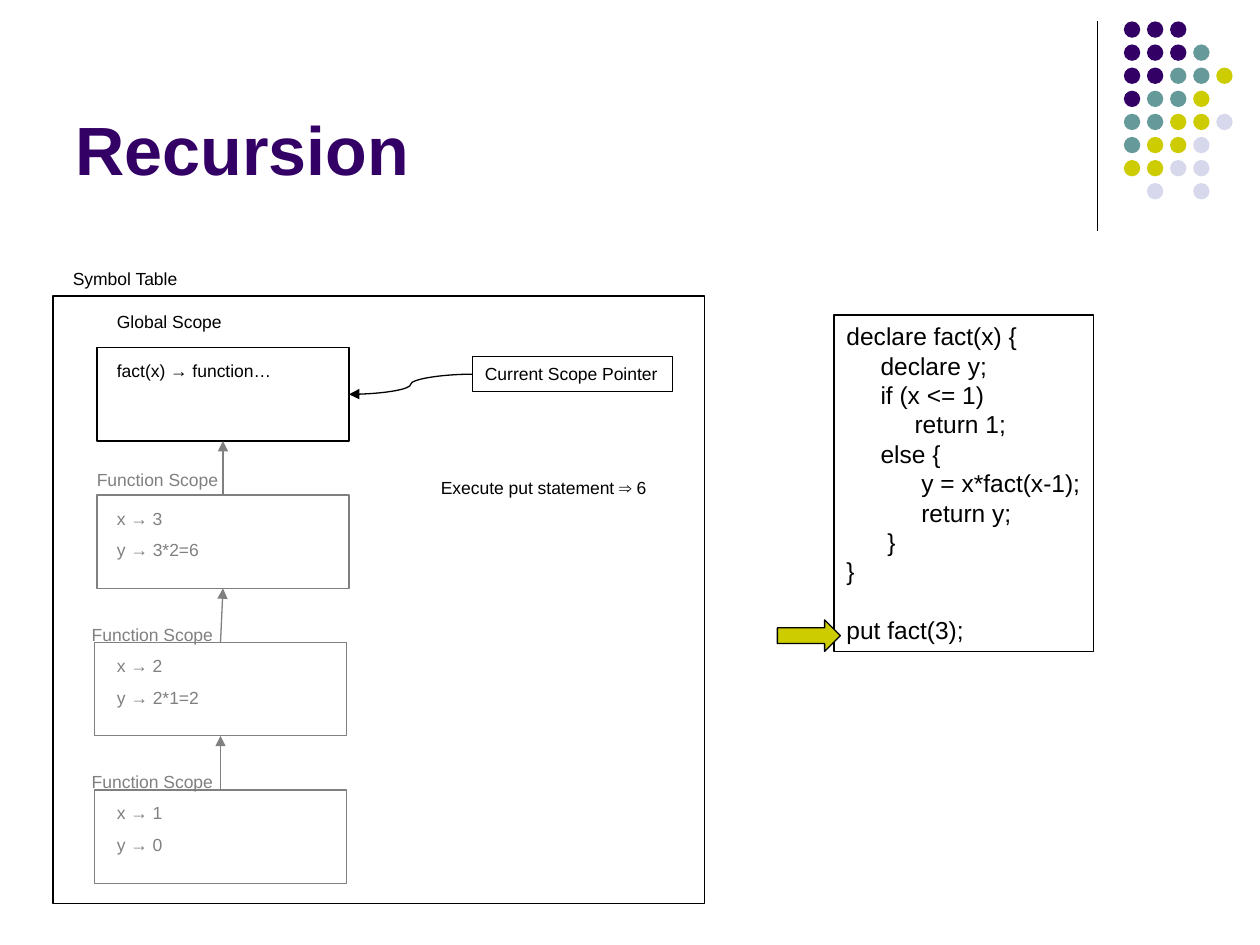
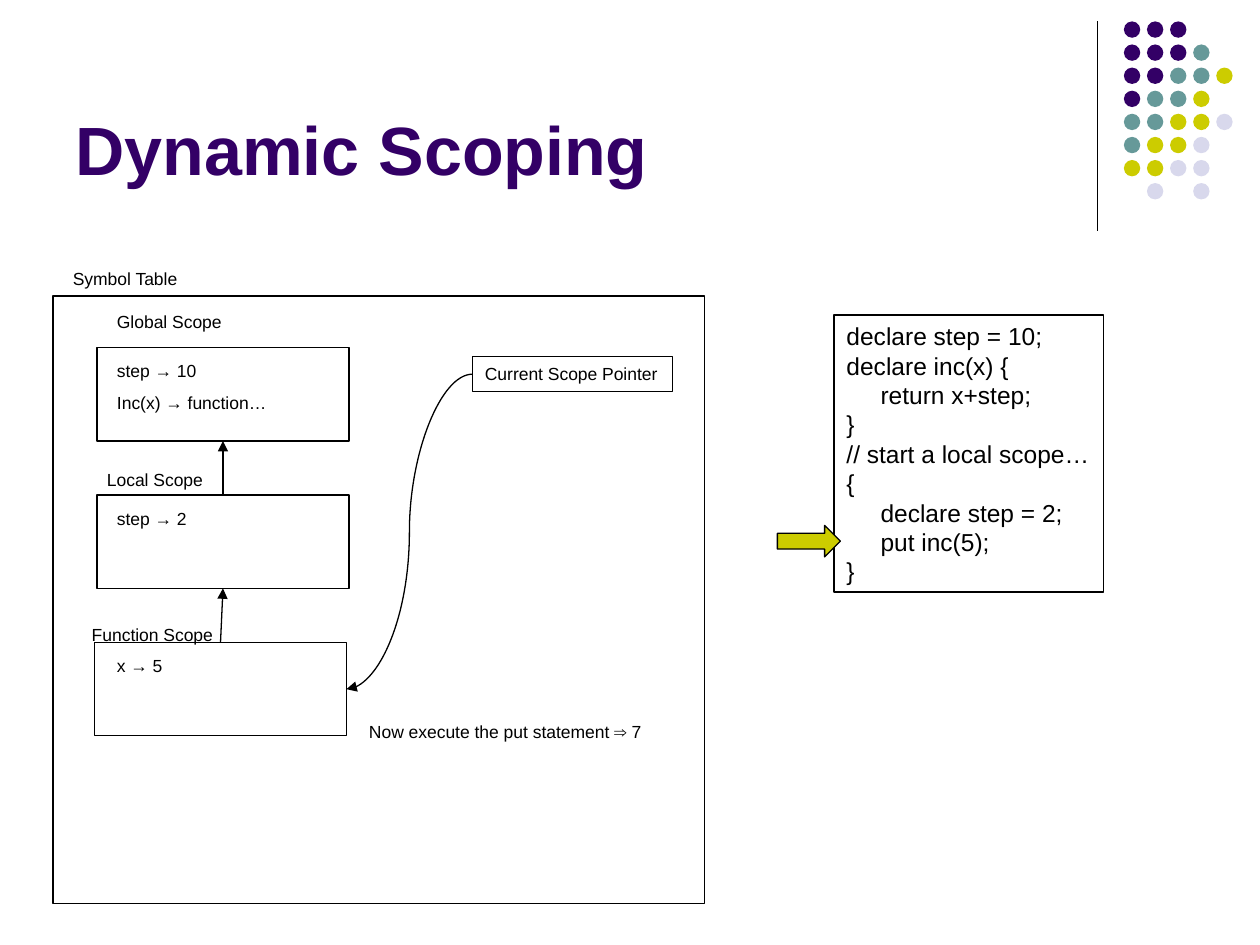
from dataclasses import dataclass

from lxml.etree import SubElement
from pptx import Presentation
from pptx.dml.color import RGBColor
from pptx.enum.shapes import MSO_CONNECTOR, MSO_SHAPE
from pptx.enum.text import MSO_ANCHOR
from pptx.oxml.ns import qn
from pptx.util import Inches, Pt

COLORS = {
    "ink": "000000",
    "faded": "808080",
    "purple": "330066",
    "teal": "669999",
    "lime": "CCCC00",
    "lilac": "D8D8EC",
}
FONT = "Arial"
DOT_COLORS = {"P": "purple", "T": "teal", "L": "lime", "V": "lilac"}
DOT_ROWS = ["PPP", "PPPT", "PPTTL", "PTTL", "TTLLV", "TLLV", "LLVV", " V V"]
DOT_PITCH = 0.55 / 3
SCOPE_TOP, SCOPE_PITCH = 2.76, 1.17
SCOPE_LEFTS = [0.77, 0.77, 0.75, 0.75]
TOP_SITE, BOTTOM_SITE, RIGHT_SITE = 0, 2, 3
CODE_LEADING = 16.8
SPACE_WIDTH = 0.054


@dataclass
class CodeLine:
    text: str
    spaces: int = 0
    gap: float = 0


@dataclass
class Scope:
    name: str
    name_at: tuple
    bindings: list
    color: str = "ink"


def rgb(color):
    return RGBColor.from_string(COLORS[color])


def write(shape, text, size=10, color="ink", bold=False, anchor=MSO_ANCHOR.TOP, leading=None):
    frame = shape.text_frame
    frame.word_wrap = True
    frame.vertical_anchor = anchor
    frame.margin_left, frame.margin_right = Inches(0.1), 0
    frame.margin_top = frame.margin_bottom = Inches(0.05)
    lines = [CodeLine(text)] if isinstance(text, str) else text
    for number, line in enumerate(lines):
        paragraph = frame.add_paragraph() if number else frame.paragraphs[0]
        properties = paragraph._p.get_or_add_pPr()
        properties.set("marL", str(Inches(line.spaces * SPACE_WIDTH)))
        properties.set("algn", "l")
        if leading:
            paragraph.line_spacing = Pt(leading)
        if line.gap:
            paragraph.space_before = Pt(line.gap)
        run = paragraph.add_run()
        run.text = line.text
        run.font.name = FONT
        run.font.size = Pt(size)
        run.font.bold = bold
        run.font.color.rgb = rgb(color)


class ScopeDeck:
    def __init__(self):
        self.deck = Presentation()
        self.deck.slide_width, self.deck.slide_height = Inches(10), Inches(7.5)
        self.slide = None

    def start_slide(self, title):
        self.slide = self.deck.slides.add_slide(self.deck.slide_layouts[6])
        self.line((8.71, 0.17), (8.71, 1.83))
        self.dots()
        self.label(title, 0.5, 0.13, 8.25, 1.42, size=39, color="purple",
                   bold=True, anchor=MSO_ANCHOR.BOTTOM)

    def shape(self, preset, left, top, width, height, fill=None, line="ink"):
        shape = self.slide.shapes.add_shape(
            preset, Inches(left), Inches(top), Inches(width), Inches(height))
        shape.shadow.inherit = False
        if fill:
            shape.fill.solid()
            shape.fill.fore_color.rgb = rgb(fill)
        else:
            shape.fill.background()
        if line:
            shape.line.color.rgb = rgb(line)
            shape.line.width = Pt(0.75)
        else:
            shape.line.fill.background()
        return shape

    def box(self, left, top, width, height, line="ink"):
        return self.shape(MSO_SHAPE.RECTANGLE, left, top, width, height, line=line)

    def label(self, text, left, top, width, height=0.27, **style):
        area = self.slide.shapes.add_textbox(
            Inches(left), Inches(top), Inches(width), Inches(height))
        write(area, text, **style)

    def line(self, start, end, color="ink", kind=MSO_CONNECTOR.STRAIGHT):
        connector = self.slide.shapes.add_connector(
            kind, *(Inches(value) for value in (*start, *end)))
        connector.line.color.rgb = rgb(color)
        connector.line.width = Pt(0.75)
        SubElement(connector._element.spPr, qn("a:effectLst"))
        return connector

    def arrow(self, source, source_site, target, target_site, color="ink",
              kind=MSO_CONNECTOR.STRAIGHT):
        connector = self.line((0, 0), (1, 1), color, kind)
        connector.begin_connect(source, source_site)
        connector.end_connect(target, target_site)
        outline = connector.line._get_or_add_ln()
        SubElement(outline, qn("a:tailEnd"), type="triangle")

    def dots(self):
        for row, pattern in enumerate(DOT_ROWS):
            for column, key in enumerate(pattern):
                if key in DOT_COLORS:
                    self.shape(MSO_SHAPE.OVAL, 8.92 + column * DOT_PITCH,
                               0.17 + row * DOT_PITCH, 0.13, 0.13,
                               fill=DOT_COLORS[key], line=None)

    def symbol_table(self, scopes, current):
        self.box(0.42, 2.35, 5.17, 4.82)
        self.label("Symbol Table", 0.48, 2.08, 1.05)
        boxes = []
        for level, scope in enumerate(scopes):
            top = SCOPE_TOP + level * SCOPE_PITCH
            boxes.append(self.box(SCOPE_LEFTS[level], top, 2, 0.74, line=scope.color))
            self.label(scope.name, *scope.name_at, color=scope.color)
            for row, (binding, width) in enumerate(scope.bindings):
                self.label(binding, 0.83, top + 0.05 + row * 0.25, width, color=scope.color)
            if level:
                self.arrow(boxes[level], TOP_SITE, boxes[level - 1], BOTTOM_SITE, scope.color)
        pointer = self.box(3.75, 2.83, 1.59, 0.28)
        write(pointer, "Current Scope Pointer")
        self.arrow(pointer, 1, boxes[current], RIGHT_SITE, kind=MSO_CONNECTOR.CURVE)

    def code(self, lines, width, height, marker_top):
        listing = self.box(6.62, 2.5, width, height)
        write(listing, lines, size=14, leading=CODE_LEADING)
        self.shape(MSO_SHAPE.RIGHT_ARROW, 6.17, marker_top, 0.5, 0.25, fill="lime")


def global_scope(*bindings):
    return Scope("Global Scope", (0.83, 2.42, 1.03), bindings)


def recursion(deck):
    deck.start_slide("Recursion")
    calls = [
        ((0.67, 3.67, 1.2), [("x → 3", 0.56), ("y → 3*2=6", 0.85)]),
        ((0.63, 4.9, 1.2), [("x → 2", 0.56), ("y → 2*1=2", 0.85)]),
        ((0.63, 6.07, 1.2), [("x → 1", 0.56), ("y → 0", 0.56)]),
    ]
    scopes = [global_scope(("fact(x) → function…", 1.43))]
    scopes += [Scope("Function Scope", name_at, bindings, "faded") for name_at, bindings in calls]
    deck.symbol_table(scopes, current=0)
    deck.label("Execute put statement ⇒ 6", 3.4, 3.74, 1.88)
    deck.code([
        CodeLine("declare fact(x) {"),
        CodeLine("declare y;", 5),
        CodeLine("if (x <= 1)", 5),
        CodeLine("return 1;", 10),
        CodeLine("else {", 5),
        CodeLine("y = x*fact(x-1);", 11),
        CodeLine("return y;", 11),
        CodeLine("}", 6),
        CodeLine("}"),
        CodeLine("put fact(3);", gap=CODE_LEADING),
    ], 2.06, 2.67, marker_top=4.92)


def dynamic_scoping(deck):
    deck.start_slide("Dynamic Scoping")
    deck.symbol_table([
        global_scope(("step → 10", 0.83), ("Inc(x) → function…", 1.39)),
        Scope("Local Scope", (0.75, 3.67, 1.01), [("step → 2", 0.76)]),
        Scope("Function Scope", (0.63, 4.9, 1.2), [("x → 5", 0.56)]),
    ], current=2)
    deck.label("Now execute the put statement ⇒ 7", 2.83, 5.67, 2.41)
    deck.code([
        CodeLine("declare step = 10;"),
        CodeLine("declare inc(x) {"),
        CodeLine("return x+step;", 5),
        CodeLine("}"),
        CodeLine("// start a local scope…"),
        CodeLine("{"),
        CodeLine("declare step = 2;", 5),
        CodeLine("put inc(5);", 5),
        CodeLine("}"),
    ], 2.14, 2.2, marker_top=4.17)


def main():
    scope_deck = ScopeDeck()
    recursion(scope_deck)
    dynamic_scoping(scope_deck)
    scope_deck.deck.save("out.pptx")


if __name__ == "__main__":
    main()
